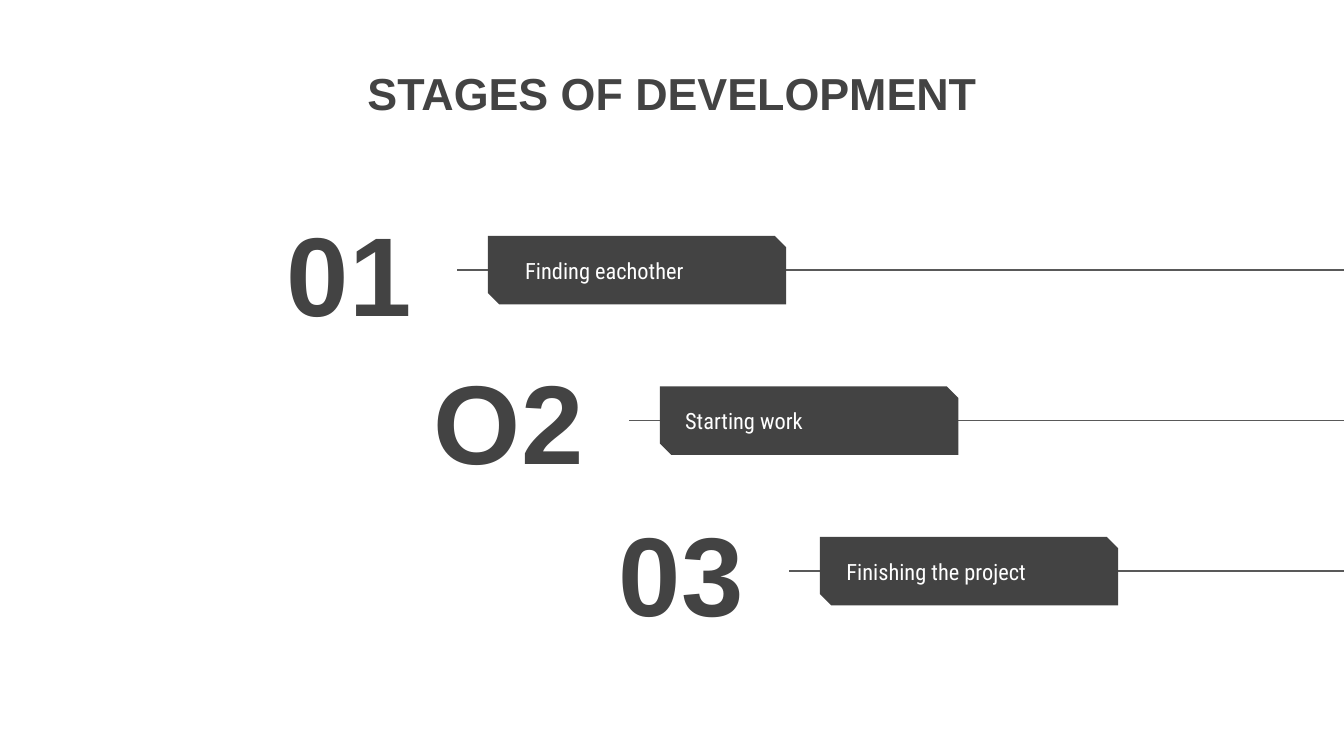
from dataclasses import dataclass

from pptx import Presentation
from pptx.dml.color import RGBColor
from pptx.enum.shapes import MSO_CONNECTOR, MSO_SHAPE
from pptx.enum.text import MSO_ANCHOR, MSO_AUTO_SIZE, PP_ALIGN
from pptx.oxml.ns import qn
from pptx.util import Inches, Pt

SLIDE_WIDTH = 10
SLIDE_HEIGHT = SLIDE_WIDTH * 9 / 16
FIRST_ROW, ROW_STEP = 2.01, 1.12
CARD_WIDTH, CARD_HEIGHT = 2.22, 0.51
LINE_LEAD, NUMBER_GAP = 0.23, 0.47
NUMBER_WIDTH, NUMBER_HEIGHT = 1.96, 0.83
LABEL_WIDTH, LABEL_HEIGHT, LABEL_RISE = 3.57, 0.37, 0.2
DARK, GRAY, WHITE = "434343", "595959", "FFFFFF"


@dataclass
class Stage:
    number: str
    label: str
    card_left: float
    label_left: float
    number_top: float


STAGES = [
    Stage("01", "Finding eachother", 3.63, 3.81, 1.61),
    Stage("O2", "Starting work", 4.91, 5, 2.71),
    Stage("03", "Finishing the project", 6.1, 6.2, 3.84),
]


def color(value):
    return RGBColor.from_string(value)


def place(shape, left, top, width, height):
    shape.left, shape.top = Inches(left), Inches(top)
    shape.width, shape.height = Inches(width), Inches(height)


def write(shape, text, size, font_name, font_color, bold, alignment, anchor):
    frame = shape.text_frame
    frame.word_wrap = True
    frame.auto_size = MSO_AUTO_SIZE.NONE
    frame.vertical_anchor = anchor
    frame.margin_left = frame.margin_right = Inches(0.1)
    frame.margin_top = frame.margin_bottom = Inches(0.1)
    paragraph = frame.paragraphs[0]
    paragraph.alignment = alignment
    run = paragraph.add_run()
    run.text = text
    run.font.size = Pt(size)
    run.font.name = font_name
    run.font.bold = bold
    run.font.color.rgb = color(font_color)


def add_text(slide, box, *style):
    shape = slide.shapes.add_textbox(0, 0, 0, 0)
    place(shape, *box)
    write(shape, *style)


def add_line(shapes, start, end, height):
    line = shapes.add_connector(
        MSO_CONNECTOR.STRAIGHT,
        Inches(start), Inches(height), Inches(end), Inches(height),
    )
    line.line.color.rgb = color(GRAY)
    line.line.width = Pt(0.75)
    properties = line._element.spPr
    properties.append(properties.makeelement(qn("a:effectLst"), {}))


def add_card(shapes, left, center):
    card = shapes.add_shape(MSO_SHAPE.SNIP_2_DIAG_RECTANGLE, 0, 0, 0, 0)
    place(card, left, center - CARD_HEIGHT / 2, CARD_WIDTH, CARD_HEIGHT)
    card.adjustments[0] = 0
    card.adjustments[1] = 0.167
    card.fill.solid()
    card.fill.fore_color.rgb = color(DARK)
    card.line.fill.background()
    card.shadow.inherit = False


def add_stage(slide, stage, center):
    group = slide.shapes.add_group_shape()
    add_line(group.shapes, SLIDE_WIDTH, stage.card_left - LINE_LEAD, center)
    add_card(group.shapes, stage.card_left, center)
    number_left = stage.card_left - NUMBER_GAP - NUMBER_WIDTH
    add_text(
        slide, (number_left, stage.number_top, NUMBER_WIDTH, NUMBER_HEIGHT),
        stage.number, 60, "Arial", DARK, True, PP_ALIGN.RIGHT, MSO_ANCHOR.MIDDLE,
    )
    add_text(
        slide, (stage.label_left, center - LABEL_RISE, LABEL_WIDTH, LABEL_HEIGHT),
        stage.label, 12, "Roboto Condensed", WHITE, False,
        PP_ALIGN.LEFT, MSO_ANCHOR.TOP,
    )


def add_title(slide, text):
    title = slide.shapes.title
    width = SLIDE_WIDTH * 0.57
    place(title, (SLIDE_WIDTH - width) / 2, 0.39, width, 1.03)
    write(title, text, 24, "Arial", DARK, True, PP_ALIGN.CENTER, MSO_ANCHOR.TOP)


def main():
    presentation = Presentation()
    presentation.slide_width = Inches(SLIDE_WIDTH)
    presentation.slide_height = Inches(SLIDE_HEIGHT)
    slide = presentation.slides.add_slide(presentation.slide_layouts[5])
    add_title(slide, "STAGES OF DEVELOPMENT")
    for row, stage in enumerate(STAGES):
        add_stage(slide, stage, FIRST_ROW + row * ROW_STEP)
    presentation.save("out.pptx")


if __name__ == "__main__":
    main()
